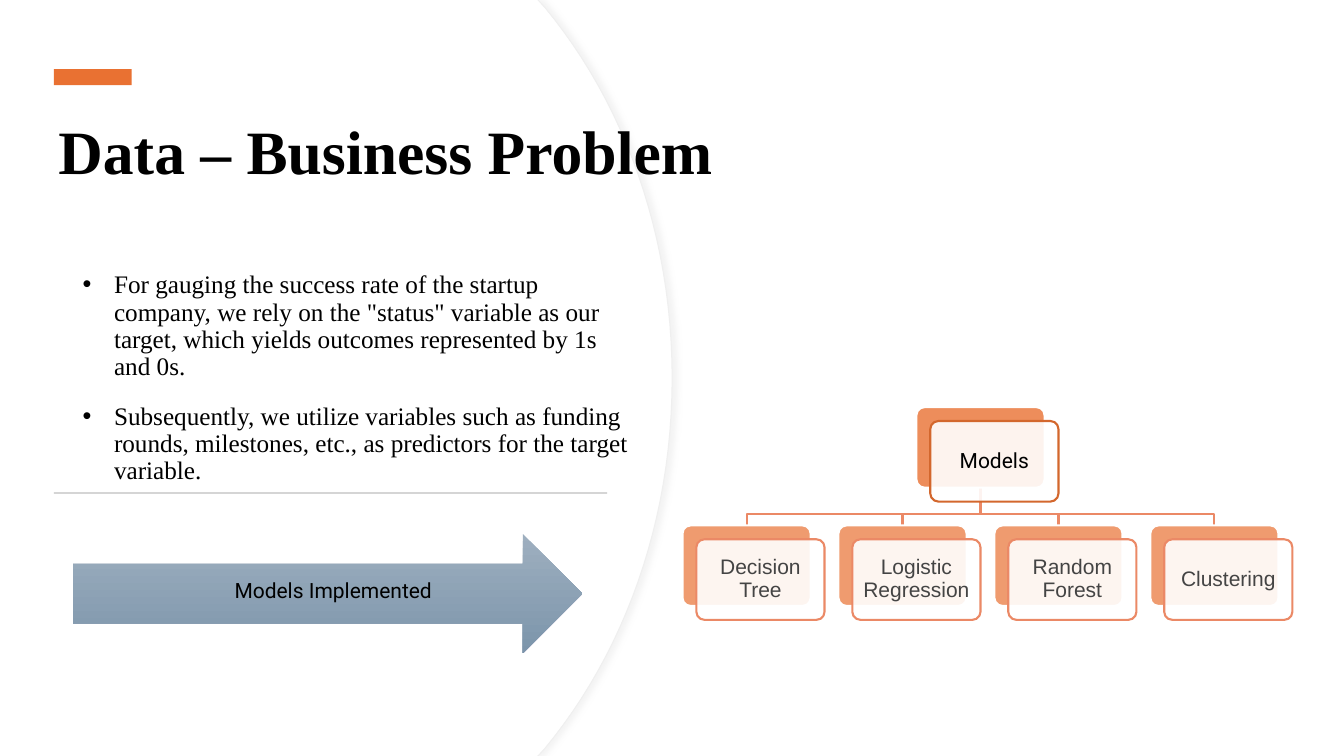
"""Build the slide on the business problem and the models implemented."""
from lxml.etree import SubElement
from pptx import Presentation
from pptx.dml.color import RGBColor
from pptx.enum.shapes import MSO_SHAPE
from pptx.enum.text import MSO_ANCHOR, MSO_AUTO_SIZE, PP_ALIGN
from pptx.oxml.ns import qn
from pptx.util import Cm, Pt

TITLE = "Data – Business Problem"
BULLETS = [
    'For gauging the success rate of the startup company, we rely on the "status" variable '
    "as our target, which yields outcomes represented by 1s and 0s.",
    "Subsequently, we utilize variables such as funding rounds, milestones, etc., "
    "as predictors for the target variable.",
]
ARROW_LABEL = "Models Implemented"
ROOT = "Models"
MODELS = ["Decision Tree", "Logistic Regression", "Random Forest", "Clustering"]

BLACK = RGBColor(0x00, 0x00, 0x00)
WHITE = RGBColor(0xFF, 0xFF, 0xFF)
GRAY = RGBColor(0x44, 0x44, 0x44)
ORANGE = RGBColor(0xE9, 0x71, 0x32)
DARK_ORANGE = RGBColor(0xD3, 0x67, 0x2D)
SALMON = RGBColor(0xEB, 0x89, 0x66)
RULE_GRAY = RGBColor(0xD5, 0xD5, 0xD5)
ARC_GRAY = RGBColor(0xEF, 0xEF, 0xEF)
ARROW_TOP = RGBColor(0x9E, 0xAF, 0xBF)
ARROW_BOTTOM = RGBColor(0x7C, 0x95, 0xAB)
SERIF = "Times New Roman"

SLIDE_WIDTH, SLIDE_HEIGHT = 33.87, 19.05
ARC_TOP = (13.56, 0)
ARC_CURVE = [(13.74, 0.2), (15.72, 2.59), (16.94, 5.89), (16.94, 9.525)]
ARC_STEPS = 24
CARD_WIDTH, CARD_HEIGHT = 3.23, 2.03
CARD_SHIFT = 0.35
CARD_PITCH = 3.93
FIRST_LEFT = 17.2
ROOT_TOP, MODEL_TOP, BRANCH_Y = 10.26, 13.24, 12.95


def place(shape, left, top, width, height):
    shape.left, shape.top, shape.width, shape.height = map(Cm, (left, top, width, height))


def paint(shape, fill=None, line=None, line_width=1.5, opacity=100):
    shape.shadow.inherit = False
    if fill is None:
        shape.fill.background()
    else:
        shape.fill.solid()
        shape.fill.fore_color.rgb = fill
    if opacity < 100:
        color = shape.element.spPr.find(qn("a:solidFill"))[0]
        SubElement(color, qn("a:alpha"), val=str(opacity * 1000))
    if line is None:
        shape.line.fill.background()
    else:
        shape.line.color.rgb = line
        shape.line.width = Pt(line_width)


def write(para, text, size, font, color, bold=False):
    para.line_spacing = 0.9
    span = para.add_run()
    span.text = text
    span.font.size = Pt(size)
    span.font.name = font
    span.font.color.rgb = color
    span.font.bold = bold


def write_centred(shape, text, font, color, insets):
    frame = shape.text_frame
    frame.word_wrap = True
    frame.vertical_anchor = MSO_ANCHOR.MIDDLE
    frame.margin_left, frame.margin_top, frame.margin_right, frame.margin_bottom = map(Cm, insets)
    frame.paragraphs[0].alignment = PP_ALIGN.CENTER
    write(frame.paragraphs[0], text, 15, font, color)


def add_outline(page, points, close):
    start, *rest = [(Cm(x), Cm(y)) for x, y in points]
    builder = page.shapes.build_freeform(*start)
    builder.add_line_segments(rest, close=close)
    return builder.convert_to_shape()


def curve_point(step):
    t = step / ARC_STEPS
    weights = ((1 - t) ** 3, 3 * t * (1 - t) ** 2, 3 * t * t * (1 - t), t ** 3)
    return tuple(sum(w * point[axis] for w, point in zip(weights, ARC_CURVE)) for axis in (0, 1))


def add_arc(page, shift):
    upper = [ARC_TOP] + [curve_point(step) for step in range(ARC_STEPS + 1)]
    lower = [(x, SLIDE_HEIGHT - y) for x, y in reversed(upper[:-1])]
    edge = [(x - shift, y) for x, y in upper + lower]
    return add_outline(page, [(0, 0)] + edge + [(0, SLIDE_HEIGHT)], True)


def add_background(page):
    rim = add_arc(page, 0)
    paint(rim, WHITE, ARC_GRAY, 0.75)
    effects = rim.element.spPr.find(qn("a:effectLst"))
    shadow = SubElement(effects, qn("a:outerShdw"), blurRad=str(Pt(4)), dist=str(Pt(3)), dir="0")
    color = SubElement(shadow, qn("a:srgbClr"), val="D9D9D9")
    SubElement(color, qn("a:alpha"), val="30000")
    paint(add_arc(page, 0.03), WHITE)


def add_bar(page, color, *bounds):
    bar = page.shapes.add_shape(MSO_SHAPE.RECTANGLE, *map(Cm, bounds))
    paint(bar, color)


def add_card(page, left, top, text, font, color, line, opacity):
    layers = [(0, ORANGE, WHITE, opacity), (CARD_SHIFT, WHITE, line, 90)]
    for shift, fill, border, layer_opacity in layers:
        card = page.shapes.add_shape(MSO_SHAPE.ROUNDED_RECTANGLE, Cm(left + shift), Cm(top + shift),
                                     Cm(CARD_WIDTH), Cm(CARD_HEIGHT))
        card.adjustments[0] = 0.1
        paint(card, fill, border, opacity=layer_opacity)
    write_centred(card, text, font, color, (0.2, 0.2, 0.2, 0.2))


def add_title_and_bullets(page):
    title, body = page.shapes.title, page.placeholders[1]
    for box in (title, body):
        box.element.getparent().append(box.element)
        box.text_frame.auto_size = MSO_AUTO_SIZE.NONE
        box.text_frame.word_wrap = True
    place(title, 1.22, 0.51, 21.11, 4.34)
    title.text_frame.vertical_anchor = MSO_ANCHOR.BOTTOM
    heading = title.text_frame.paragraphs[0]
    heading.alignment = PP_ALIGN.LEFT
    write(heading, TITLE, 44, SERIF, BLACK, True)
    place(body, 1.83, 6.73, 14.45, 7.42)
    for index, text in enumerate(BULLETS):
        para = body.text_frame.add_paragraph() if index else body.text_frame.paragraphs[0]
        para.space_before, para.space_after = Pt(10), Pt(6)
        write(para, text, 18, SERIF, BLACK)
        properties = para._p.get_or_add_pPr()
        properties.set("marL", str(Cm(0.79)))
        properties.set("indent", str(Cm(-0.79)))
        SubElement(properties, qn("a:buFont"), typeface="Arial")
        SubElement(properties, qn("a:buChar"), char="•")


def add_model_tree(page):
    lefts = [FIRST_LEFT + index * CARD_PITCH for index in range(len(MODELS))]
    root_left = (lefts[0] + lefts[-1]) / 2
    root_x = root_left + CARD_WIDTH / 2
    for left in lefts:
        model_x = left + CARD_WIDTH / 2
        branch = add_outline(page, [(root_x, ROOT_TOP + CARD_HEIGHT), (root_x, BRANCH_Y),
                                    (model_x, BRANCH_Y), (model_x, MODEL_TOP)], False)
        paint(branch, line=SALMON)
    add_card(page, root_left, ROOT_TOP, ROOT, "Roboto", BLACK, DARK_ORANGE, 80)
    for left, model in zip(lefts, MODELS):
        add_card(page, left, MODEL_TOP, model, "Arial", GRAY, SALMON, 70)


def add_arrow(page):
    arrow = page.shapes.add_shape(MSO_SHAPE.RIGHT_ARROW, Cm(1.83), Cm(13.46), Cm(12.85), Cm(3))
    paint(arrow)
    arrow.fill.gradient()
    arrow.fill.gradient_angle = 270
    for stop, color in zip(arrow.fill.gradient_stops, (ARROW_TOP, ARROW_BOTTOM)):
        stop.color.rgb = color
    write_centred(arrow, ARROW_LABEL, "Roboto", BLACK, (1.04, 0, 0, 0.08))


def main():
    deck = Presentation()
    deck.slide_width, deck.slide_height = Cm(SLIDE_WIDTH), Cm(SLIDE_HEIGHT)
    page = deck.slides.add_slide(deck.slide_layouts[1])
    add_background(page)
    add_title_and_bullets(page)
    add_bar(page, ORANGE, 1.36, 1.74, 1.96, 0.41)
    add_bar(page, RULE_GRAY, 1.36, 12.4, 13.94, 0.05)
    add_model_tree(page)
    add_arrow(page)
    deck.save("out.pptx")


if __name__ == "__main__":
    main()
